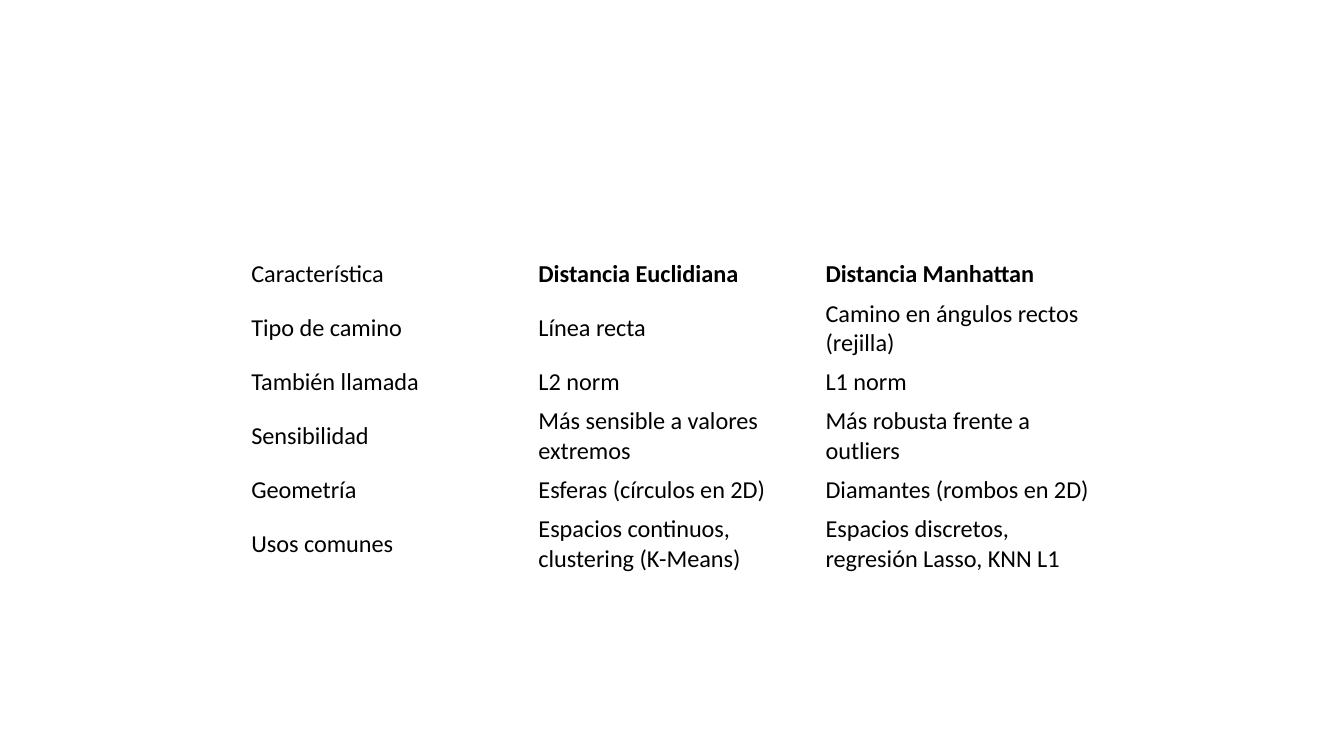
from pptx import Presentation
from pptx import util as u
from pptx.dml import color
from pptx.enum import text

ROWS = [
    ("Característica", "Distancia Euclidiana", "Distancia Manhattan"),
    ("Tipo de camino", "Línea recta", "Camino en ángulos rectos (rejilla)"),
    ("También llamada", "L2 norm", "L1 norm"),
    ("Sensibilidad", "Más sensible a valores extremos", "Más robusta frente a outliers"),
    ("Geometría", "Esferas (círculos en 2D)", "Diamantes (rombos en 2D)"),
    ("Usos comunes", "Espacios continuos, clustering (K-Means)",
     "Espacios discretos, regresión Lasso, KNN L1"),
]
ROW_HEIGHTS = [0.74, 1.28] * 3


def rgb(value):
    return color.RGBColor.from_string(value)


def write(tf, content, size=13, bold=False, fill="000000", font="Calibri"):
    tf.word_wrap = True
    p = tf.paragraphs[0]
    p.alignment = text.PP_ALIGN.LEFT
    r = p.add_run()
    r.text = content
    r.font.name = font
    r.font.size = u.Pt(size)
    r.font.bold = bold
    r.font.color.rgb = rgb(fill)


def comparison_table(s, left, top, width, height):
    frame = s.shapes.add_table(len(ROWS), len(ROWS[0]), u.Cm(left), u.Cm(top),
                               u.Cm(width), u.Cm(height))
    table = frame.table
    table.first_row = False
    table.horz_banding = False
    for column in table.columns:
        column.width = u.Cm(width / len(ROWS[0]))
    for i, row in enumerate(ROWS):
        table.rows[i].height = u.Cm(height * ROW_HEIGHTS[i] / sum(ROW_HEIGHTS))
        for j, content in enumerate(row):
            cell = table.cell(i, j)
            cell.fill.background()
            cell.vertical_anchor = text.MSO_ANCHOR.MIDDLE
            cell.margin_left = cell.margin_right = u.Cm(0.18)
            cell.margin_top = cell.margin_bottom = u.Cm(0.09)
            write(cell.text_frame, content, bold=i == 0 and j > 0)


def main():
    prs = Presentation()
    prs.slide_width = u.Cm(25.4)
    prs.slide_height = u.Cm(14.29)
    s = prs.slides.add_slide(prs.slide_layouts[6])
    s.background.fill.solid()
    s.background.fill.fore_color.rgb = rgb("FFFFFF")
    comparison_table(s, 4.57, 4.82, 16.28, sum(ROW_HEIGHTS))
    prs.save("out.pptx")


if __name__ == "__main__":
    main()
